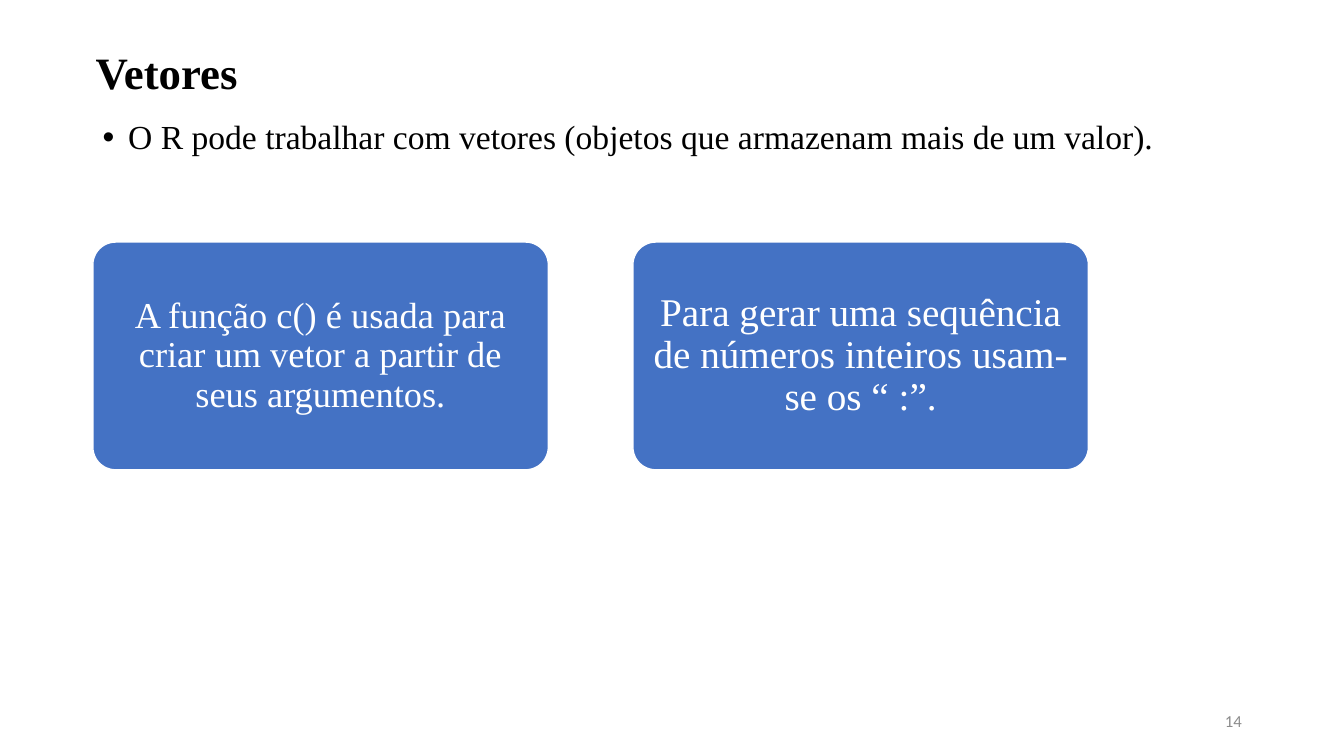
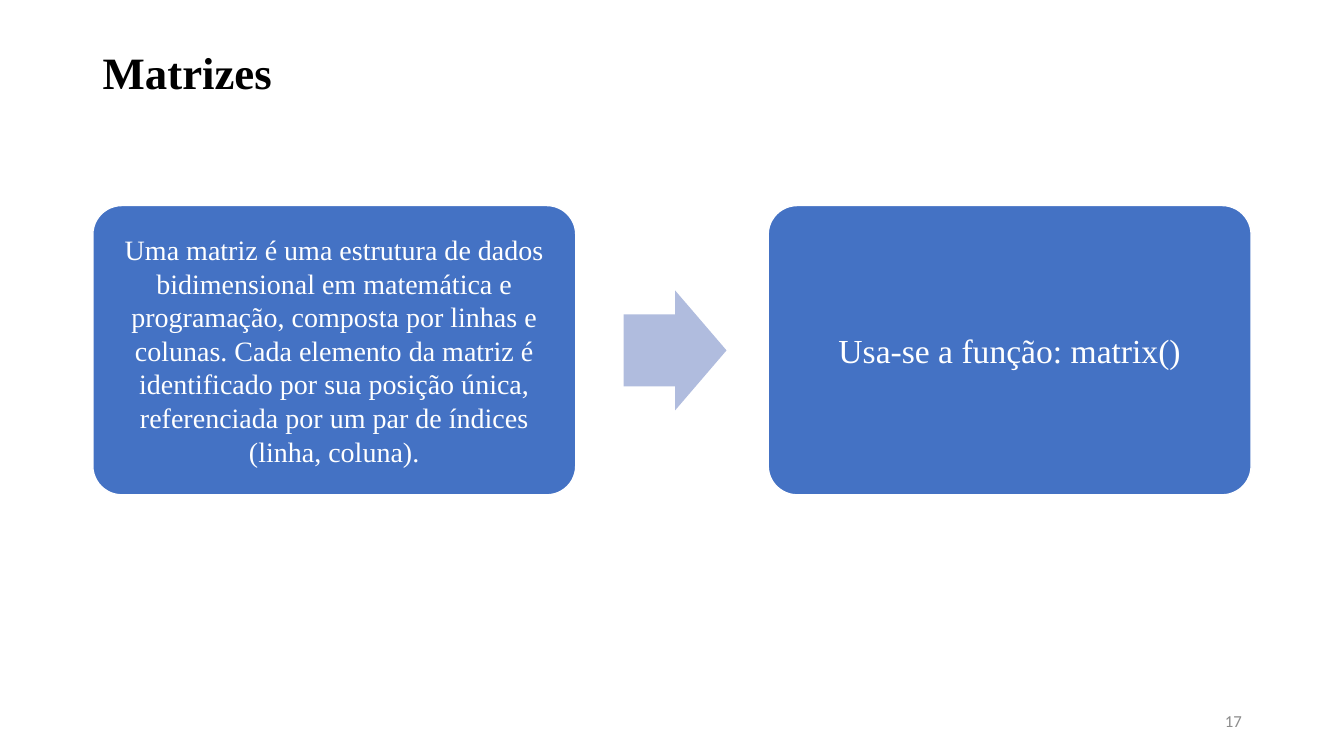
from pptx import Presentation
from pptx.dml.color import RGBColor
from pptx.enum.shapes import MSO_SHAPE
from pptx.enum.text import MSO_ANCHOR, PP_ALIGN
from pptx.oxml import parse_xml
from pptx.oxml.ns import nsdecls
from pptx.util import Cm, Pt

COLORS = {
    "ink": "000000",
    "paper": "FFFFFF",
    "card": "4472C4",
    "arrow": "B0BCDE",
    "number": "8C8C8C",
}
SERIF = "Times New Roman"
SANS = "Calibri"
LEFT = 2.34
WIDTH = 29.21


def color(name):
    return RGBColor.from_string(COLORS[name])


class Deck:
    def __init__(self):
        self.file = Presentation()
        self.file.slide_width = Cm(33.87)
        self.file.slide_height = Cm(19.05)
        self.slide = None

    def page(self, title, number, left=LEFT):
        self.slide = self.file.slides.add_slide(self.file.slide_layouts[6])
        self.label(title, (left, 0.05, WIDTH, 3.68), 32, bold=True, spacing=0.9)
        self.label(str(number), (23.93, 17.65, 7.62, 1.02), 12, tint="number",
                   font=SANS, align=PP_ALIGN.RIGHT)

    def letter(self, shape, text, size, tint, font=SERIF, bold=False,
               align=PP_ALIGN.LEFT, spacing=1.0, anchor=MSO_ANCHOR.MIDDLE):
        frame = shape.text_frame
        frame.text = text
        frame.word_wrap = True
        frame.vertical_anchor = anchor
        para = frame.paragraphs[0]
        para.alignment = align
        para.line_spacing = spacing
        style = para.runs[0].font
        style.name = font
        style.size = Pt(size)
        style.bold = bold
        style.color.rgb = color(tint)
        return para

    def label(self, text, box, size, tint="ink", **style):
        shape = self.slide.shapes.add_textbox(*map(Cm, box))
        return self.letter(shape, text, size, tint, **style)

    def bullet(self, text, box, size):
        para = self.label(text, box, size, spacing=0.9, anchor=MSO_ANCHOR.TOP)
        para.space_before = Pt(10)
        props = para._p.get_or_add_pPr()
        props.set("marL", str(Cm(0.64)))
        props.set("indent", str(-Cm(0.64)))
        for tag in ('buFont {} typeface="Arial"', 'buChar {} char="•"'):
            props.append(parse_xml("<a:" + tag.format(nsdecls("a")) + "/>"))

    def shape(self, kind, box, fill, *adjust):
        shape = self.slide.shapes.add_shape(kind, *map(Cm, box))
        shape.shadow.inherit = False
        shape.fill.solid()
        shape.fill.fore_color.rgb = color(fill)
        shape.line.fill.background()
        for index, value in enumerate(adjust):
            shape.adjustments[index] = value
        return shape

    def card(self, text, box, size, inset, spacing=1.0):
        shape = self.shape(MSO_SHAPE.ROUNDED_RECTANGLE, box, "card", 0.1)
        shape.line.color.rgb = color("paper")
        shape.line.width = Pt(1)
        frame = shape.text_frame
        frame.margin_left = frame.margin_right = Cm(inset)
        frame.margin_top = frame.margin_bottom = Cm(inset)
        self.letter(shape, text, size, "paper", align=PP_ALIGN.CENTER,
                    spacing=spacing)

    def arrow(self, box):
        self.shape(MSO_SHAPE.RIGHT_ARROW, box, "arrow", 0.6, 0.5)

    def cards(self, items, top, width, height, step, spacing=1.0):
        for index, (text, size, inset) in enumerate(items):
            box = (LEFT + index * step, top, width, height)
            self.card(text, box, size, inset, spacing)


deck = Deck()

deck.page("Vetores", 14, left=2.16)
deck.bullet("O R pode trabalhar com vetores (objetos que armazenam mais de um valor).",
            (LEFT, 2.92, WIDTH, 12.09), 24)
deck.cards([
    ("A função c() é usada para criar um vetor a partir de seus argumentos.",
     26, 0.12),
    ("Para gerar uma sequência de números inteiros usam-se os “ :”.",
     28, 0.12),
], top=6.1, width=11.48, height=5.74, step=13.61, spacing=0.9)

deck.page("Matrizes", 17)
deck.cards([
    ("Uma matriz é uma estrutura de dados bidimensional em matemática e "
     "programação, composta por linhas e colunas. Cada elemento da matriz é "
     "identificado por sua posição única, referenciada por um par de índices "
     "(linha, coluna).", 20, 0.2),
    ("Usa-se a função: matrix()", 24, 0.25),
], top=5.18, width=12.17, height=7.29, step=17.02)
deck.arrow((15.72, 7.32, 2.59, 3.02))

deck.file.save("out.pptx")
